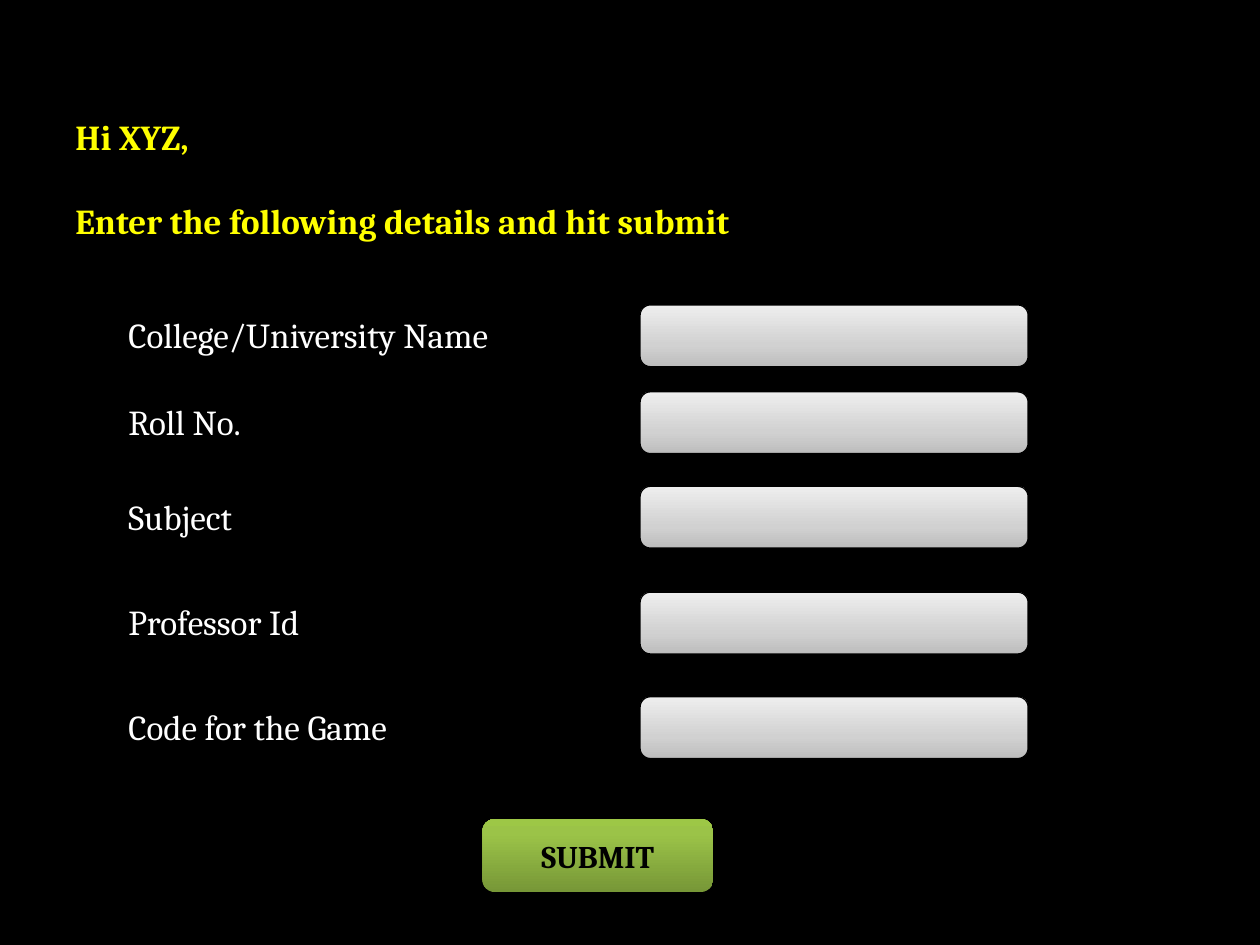
from dataclasses import dataclass

from lxml.etree import SubElement
from pptx import Presentation
from pptx.dml.color import RGBColor
from pptx.enum.shapes import MSO_SHAPE as Shape
from pptx.enum.text import MSO_ANCHOR as Anchor, PP_ALIGN as Align
from pptx.oxml.ns import qn
from pptx.util import Inches, Pt


@dataclass(frozen=True)
class Theme:
    font: str = "Cambria"
    background: str = "000000"
    heading: str = "FFFF00"
    label: str = "FFFFFF"
    dark: str = "000000"
    field_stops: tuple = ((0, "BDBDBD"), (35, "D1D1D1"), (100, "EEEEEE"))
    button_stops: tuple = ((0, "779737"), (80, "9BC348"), (100, "9DC746"))
    body_size: int = 20
    button_size: int = 18


THEME = Theme()

# Each form row: label and top of its input field
FIELDS = (
    ("College/University Name", 2.42),
    ("Roll No.", 3.11),
    ("Subject", 3.86),
    ("Professor Id", 4.7),
    ("Code for the Game", 5.53),
)


def rgb(value):
    return RGBColor.from_string(value)


def write_text(tf, text, color, size=THEME.body_size, bold=False,
               align=Align.LEFT, anchor=Anchor.TOP, gap=0):
    """Write one paragraph per line, with gap points between them."""
    tf.word_wrap = True
    tf.vertical_anchor = anchor
    for i, line in enumerate(text.split("\n")):
        p = tf.add_paragraph() if i else tf.paragraphs[0]
        p.alignment = align
        p.space_before = Pt(gap if i else 0)
        r = p.add_run()
        r.text = line
        r.font.name = THEME.font
        r.font.size = Pt(size)
        r.font.bold = bold
        r.font.color.rgb = rgb(color)


def add_text(s, box, text, color, **style):
    sp = s.shapes.add_textbox(*map(Inches, box))
    write_text(sp.text_frame, text, color, **style)


def fill_gradient(sp, stops):
    """Fill from bottom to top with (percent, colour) stops."""
    sp.fill.gradient()
    sp.fill.gradient_angle = 90
    stop_list = sp.element.spPr.find(qn("a:gradFill")).find(qn("a:gsLst"))
    for old in list(stop_list):
        stop_list.remove(old)
    for percent, color in stops:
        stop = SubElement(stop_list, qn("a:gs"), pos=str(percent * 1000))
        SubElement(stop, qn("a:srgbClr"), val=color)


def add_rounded_box(s, box, stops, line=None):
    sp = s.shapes.add_shape(Shape.ROUNDED_RECTANGLE, *map(Inches, box))
    sp.shadow.inherit = False
    fill_gradient(sp, stops)
    if line:
        sp.line.color.rgb = rgb(line)
        sp.line.width = Pt(0.75)
    else:
        sp.line.fill.background()
    return sp


def add_field(s, label, top):
    add_text(s, (0.92, top + 0.02, 3.58, 0.44), label, THEME.label)
    add_rounded_box(s, (5.08, top, 3.08, 0.49), THEME.field_stops,
                    line=THEME.dark)


def add_button(s, box, text):
    sp = add_rounded_box(s, box, THEME.button_stops)
    write_text(sp.text_frame, text, THEME.dark, size=THEME.button_size,
               bold=True, align=Align.CENTER, anchor=Anchor.MIDDLE)


def main():
    prs = Presentation()
    prs.slide_width, prs.slide_height = Inches(10), Inches(7.5)
    s = prs.slides.add_slide(prs.slide_layouts[6])
    s.background.fill.solid()
    s.background.fill.fore_color.rgb = rgb(THEME.background)

    # Greeting
    add_text(s, (0.5, 0.75, 9, 1.33),
             "Hi XYZ,\nEnter the following details and hit submit",
             THEME.heading, bold=True, anchor=Anchor.MIDDLE, gap=24)

    # Form
    for label, top in FIELDS:
        add_field(s, label, top)
    add_button(s, (3.83, 6.5, 1.83, 0.58), "SUBMIT")

    prs.save("out.pptx")


if __name__ == "__main__":
    main()
